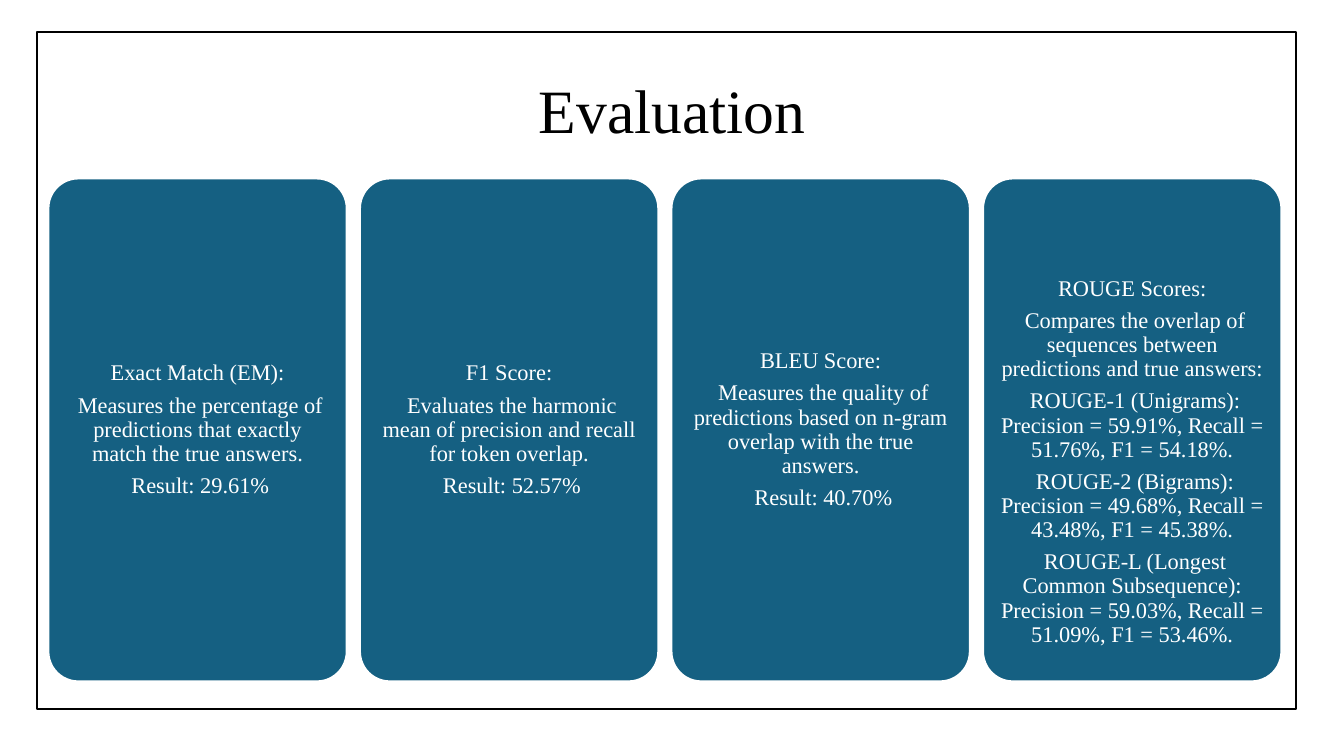
from pptx import Presentation
from pptx.dml.color import RGBColor
from pptx.enum import shapes, text
from pptx.util import Inches, Pt

WHITE = RGBColor(0xFF, 0xFF, 0xFF)
BLACK = RGBColor(0x00, 0x00, 0x00)
TEAL = RGBColor(0x15, 0x60, 0x82)
FONT = "Times New Roman"

CARD_LEFT, CARD_TOP = 0.48, 1.77
CARD_WIDTH, CARD_HEIGHT = 2.96, 4.99
COLUMN_STEP = 3.09
INSET = 0.07

# Each card: extra space above its text, then its paragraphs
METRICS = [
    (0, ["Exact Match (EM):",
         " Measures the percentage of predictions that exactly match the true answers.",
         " Result: 29.61%"]),
    (0, ["F1 Score:",
         " Evaluates the harmonic mean of precision and recall for token overlap.",
         " Result: 52.57%"]),
    (0, ["BLEU Score:",
         " Measures the quality of predictions based on n-gram overlap with the true answers.",
         " Result: 40.70%"]),
    (0.64, ["ROUGE Scores:",
            " Compares the overlap of sequences between predictions and true answers:",
            " ROUGE-1 (Unigrams): Precision = 59.91%, Recall = 51.76%, F1 = 54.18%.",
            " ROUGE-2 (Bigrams): Precision = 49.68%, Recall = 43.48%, F1 = 45.38%.",
            " ROUGE-L (Longest Common Subsequence): Precision = 59.03%, "
            "Recall = 51.09%, F1 = 53.46%."]),
]


def add_panel(kind, left, top, width, height, fill, line):
    panel = page.shapes.add_shape(
        kind, Inches(left), Inches(top), Inches(width), Inches(height))
    panel.shadow.inherit = False
    panel.fill.solid()
    panel.fill.fore_color.rgb = fill
    panel.line.color.rgb = line
    panel.line.width = Pt(1.5)
    return panel


def style_paragraph(para, size, color):
    para.alignment = text.PP_ALIGN.CENTER
    para.line_spacing = 0.9
    para.font.name = FONT
    para.font.size = Pt(size)
    para.font.color.rgb = color


deck = Presentation()
deck.slide_width, deck.slide_height = Inches(13.33), Inches(7.5)
page = deck.slides.add_slide(deck.slide_layouts[6])

add_panel(shapes.MSO_SHAPE.RECTANGLE, 0.37, 0.32, 12.48, 6.71, WHITE, BLACK)

title = page.shapes.add_textbox(Inches(0.92), Inches(0.4), Inches(11.5), Inches(1.45))
title.text_frame.word_wrap = True
title.text_frame.vertical_anchor = text.MSO_ANCHOR.MIDDLE
title.text_frame.text = "Evaluation"
style_paragraph(title.text_frame.paragraphs[0], 44, BLACK)

for column, (space_above, lines) in enumerate(METRICS):
    card = add_panel(shapes.MSO_SHAPE.ROUNDED_RECTANGLE,
                     CARD_LEFT + column * COLUMN_STEP, CARD_TOP,
                     CARD_WIDTH, CARD_HEIGHT, TEAL, WHITE)
    card.adjustments[0] = 0.1
    frame = card.text_frame
    frame.word_wrap = True
    frame.vertical_anchor = text.MSO_ANCHOR.MIDDLE
    frame.margin_left = frame.margin_right = frame.margin_bottom = Inches(INSET)
    frame.margin_top = Inches(INSET + space_above)
    frame.text = "\n".join(lines)
    for para in frame.paragraphs:
        style_paragraph(para, 16, WHITE)
        para.space_after = Pt(5.6)

deck.save("out.pptx")
